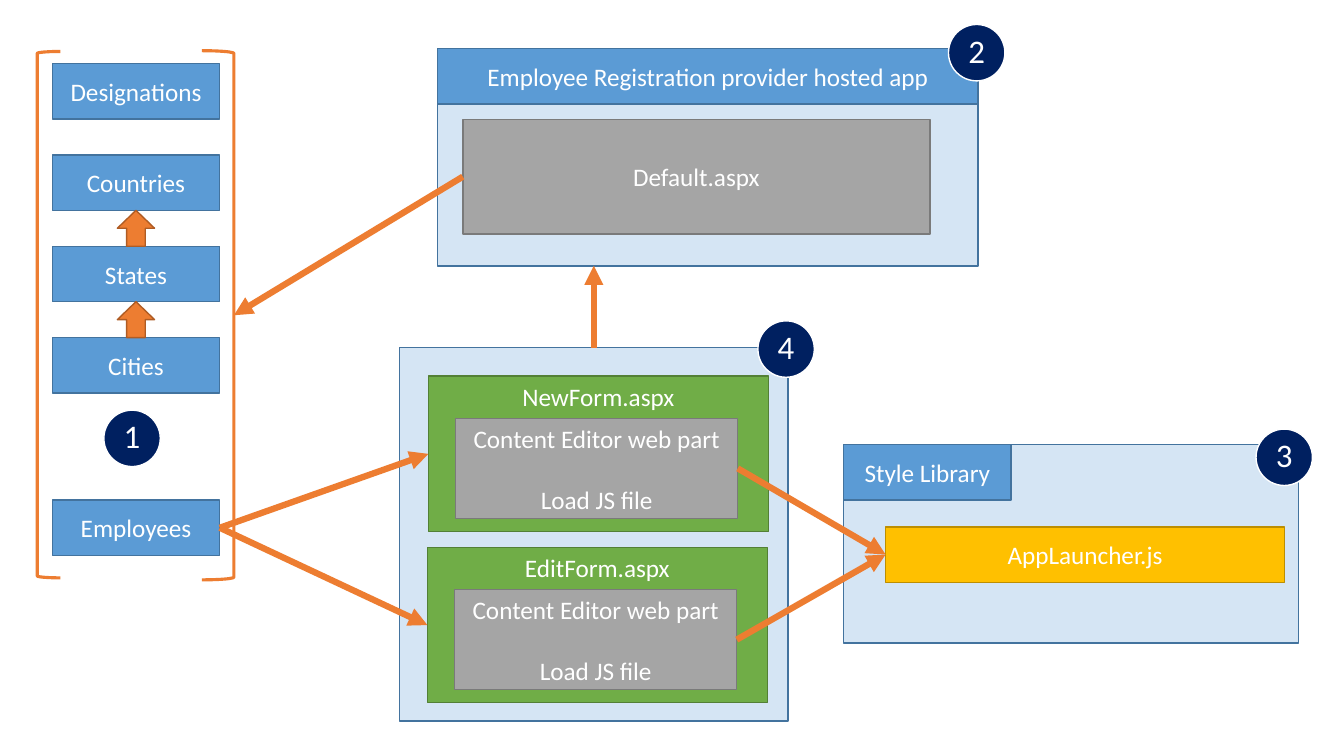
"""Build a slide that shows how lists, forms and a hosted app connect."""
from lxml import etree
from pptx import Presentation
from pptx import util as u
from pptx.dml import color
from pptx.enum import shapes, text
from pptx.oxml import ns

Pt = u.Pt
SHAPE = shapes.MSO_SHAPE
COLORS = {
    "blue": "5B9BD5", "blue_edge": "43739E",
    "green": "70AD47", "green_edge": "538035",
    "gray": "A5A5A5", "gray_edge": "7A7A7A",
    "gold": "FFC000", "gold_edge": "BD8E00",
    "orange": "ED7D31", "orange_edge": "AF5C24",
    "navy": "002060", "white": "FFFFFF",
}


def rgb(name):
    """Return the named colour."""
    return color.RGBColor.from_string(COLORS[name])


def write(sp, content, size=18, top=False, gap=0, inset=None, spacing=None):
    """Fill a shape with centred paragraphs, one for each line of content."""
    tf = sp.text_frame
    tf.word_wrap = True
    tf.vertical_anchor = text.MSO_ANCHOR.TOP if top else text.MSO_ANCHOR.MIDDLE
    if inset is not None:
        tf.margin_left = tf.margin_right = Pt(inset)
        tf.margin_top = tf.margin_bottom = Pt(inset)
    for i, line in enumerate(content.split("\n")):
        p = tf.add_paragraph() if i else tf.paragraphs[0]
        p.alignment = text.PP_ALIGN.CENTER
        p.line_spacing = spacing
        p.space_before = Pt(gap if i else 0)
        r = p.add_run()
        r.text = line
        r.font.name = "Calibri"
        r.font.size = Pt(size)
        r.font.color.rgb = rgb("white")


def site(sp, across, down):
    """Return the point at the given fractions of a shape's width and height."""
    return sp.left + int(sp.width * across), sp.top + int(sp.height * down)


class Diagram:
    """Hold the slide and the style of its elements."""

    box_height = 39.6
    badge_size = 40.3
    arrow_width = 4.5

    def __init__(self, s):
        """Keep the slide to draw on."""
        self.s = s

    def shape(self, kind, x, y, w, h, fill, edge, width=1):
        """Add a preset shape, unfilled when fill is None."""
        sp = self.s.shapes.add_shape(kind, Pt(x), Pt(y), Pt(w), Pt(h))
        sp.shadow.inherit = False
        if fill:
            sp.fill.solid()
            sp.fill.fore_color.rgb = rgb(fill)
        else:
            sp.fill.background()
        sp.line.color.rgb = rgb(edge)
        sp.line.width = Pt(width)
        return sp

    def box(self, content, x, y, w, h=box_height, fill="blue", **fmt):
        """Add a labelled rectangle."""
        sp = self.shape(SHAPE.RECTANGLE, x, y, w, h, fill, fill + "_edge")
        write(sp, content, **fmt)
        return sp

    def panel(self, x, y, w, h):
        """Add a see-through blue container."""
        sp = self.shape(SHAPE.RECTANGLE, x, y, w, h, "blue", "blue_edge")
        fill = sp.fill._xPr.find(ns.qn("a:solidFill"))
        etree.SubElement(fill[0], ns.qn("a:alpha"), val="25000")
        return sp

    def bracket(self, kind, x, y, w, h):
        """Add an orange bracket."""
        return self.shape(kind, x, y, w, h, None, "orange", 2.25)

    def form(self, name, x, y):
        """Add a form page with its web part."""
        page = self.box(name, x, y, 242.8, 111, fill="green", top=True)
        part = self.box("Content Editor web part\nLoad JS file", x + 19.5, y + 30.2,
                        201.5, 71.4, fill="gray", top=True, gap=22)
        return page, part

    def badge(self, number, x, y):
        """Add a numbered circle."""
        sp = self.shape(SHAPE.OVAL, x, y, self.badge_size, self.badge_size, "navy", "white")
        write(sp, number, size=23.5, inset=0, spacing=0.9)

    def arrow(self, start, end):
        """Add a thick straight arrow between two points."""
        c = self.s.shapes.add_connector(shapes.MSO_CONNECTOR.STRAIGHT, *start, *end)
        c.line.color.rgb = rgb("orange")
        c.line.width = Pt(self.arrow_width)
        etree.SubElement(c.line._get_or_add_ln(), ns.qn("a:tailEnd"), type="triangle")
        etree.SubElement(c._element.spPr, ns.qn("a:effectLst"))


prs = Presentation()
prs.slide_width, prs.slide_height = Pt(960), Pt(540)
d = Diagram(prs.slides.add_slide(prs.slide_layouts[6]))

forms_panel = d.panel(285.4, 248.4, 277.5, 266.6)
app_panel = d.panel(312.6, 34.7, 386, 155.2)
d.box("Employee Registration provider hosted app", 312.6, 34.7, 386)

LIST_X, LIST_W, LIST_TOP, STEP = 37.3, 119.7, 45.4, 65.25
for i, name in enumerate(("Designations", "Countries", "States", "Cities")):
    d.box(name, LIST_X, LIST_TOP + i * STEP, LIST_W)
employees = d.box("Employees", LIST_X, 357.2, LIST_W)
for i in (1, 2):
    d.shape(SHAPE.UP_ARROW, LIST_X + LIST_W / 2 - 13.3, LIST_TOP + i * STEP + d.box_height,
            26.6, STEP - d.box_height, "orange", "orange_edge")

d.panel(602.6, 317.6, 325, 141.6)
d.box("Style Library", 602.6, 317.6, LIST_W)
launcher = d.box("AppLauncher.js", 632.6, 376.3, 284.9, fill="gold")

forms = [d.form("NewForm.aspx", 306, 268.7), d.form("EditForm.aspx", 305.3, 391)]
for page, part in forms:
    d.arrow(site(part, 1, 0.5), site(launcher, 0, 0.5))
for page, part in forms:
    d.arrow(site(employees, 1, 0.5), site(page, 0, 0.5))

right = d.bracket(SHAPE.RIGHT_BRACKET, 144.2, 36.2, 22.9, 378)
d.bracket(SHAPE.LEFT_BRACKET, 26.6, 36.8, 16.6, 376)
default_page = d.box("Default.aspx", 330.6, 85.2, 333.6, 82, fill="gray")
d.arrow(site(default_page, 0, 0.5), site(right, 1, 0.5))

forms_top = site(forms_panel, 0.5, 0)
d.arrow(forms_top, (forms_top[0], site(app_panel, 0, 1)[1]))

for number, x, y in (("1", 74.2, 293), ("2", 677.5, 17.5),
                     ("3", 897.2, 306.5), ("4", 541.4, 229.2)):
    d.badge(number, x, y)

prs.save("out.pptx")
